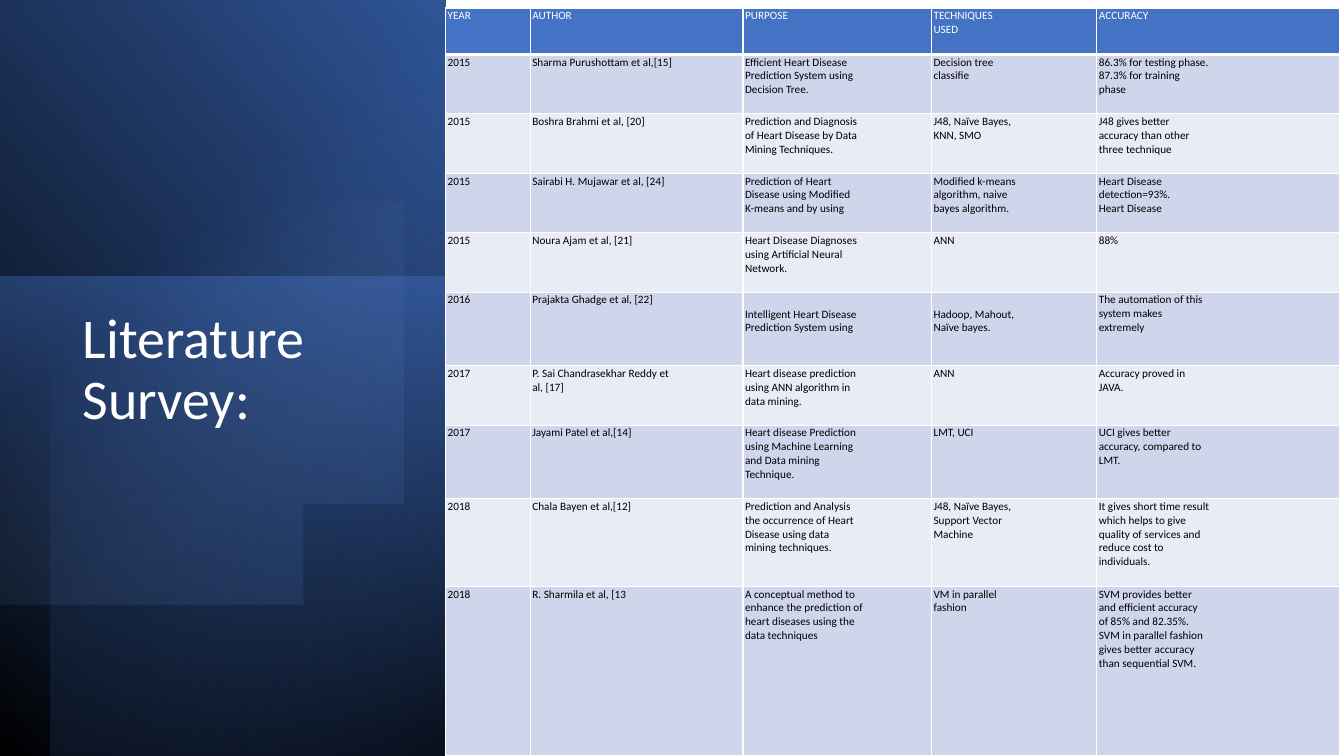
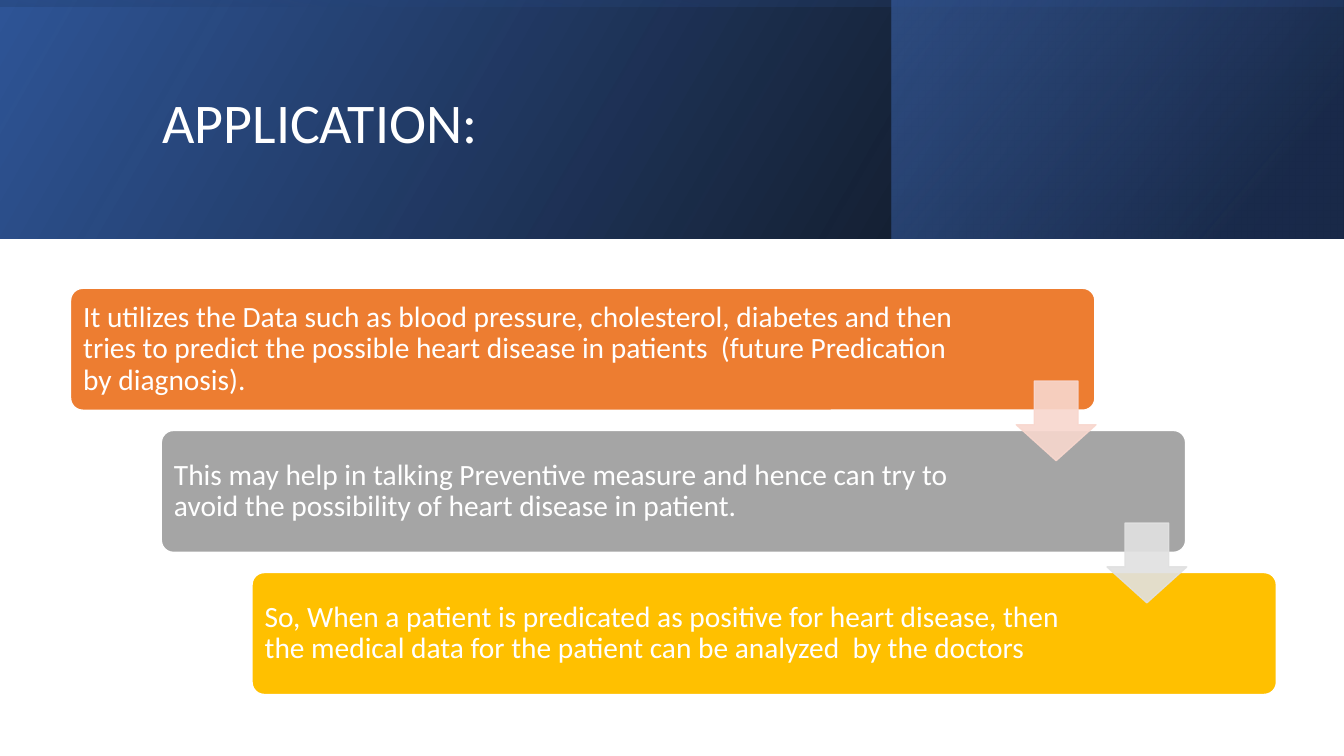
"""Build a literature survey table slide and an application steps slide."""
from dataclasses import dataclass
from math import acos, cos, sin

from lxml import etree
from pptx import Presentation
from pptx.dml.color import RGBColor
from pptx.enum.shapes import MSO_SHAPE
from pptx.enum.text import MSO_ANCHOR, MSO_AUTO_SIZE, PP_ALIGN
from pptx.oxml.ns import qn
from pptx.util import Inches, Pt

RECTANGLE = MSO_SHAPE.RECTANGLE
ROUNDED = MSO_SHAPE.ROUNDED_RECTANGLE
DOWN_ARROW = MSO_SHAPE.DOWN_ARROW
TOP, MIDDLE = MSO_ANCHOR.TOP, MSO_ANCHOR.MIDDLE
LEFT = PP_ALIGN.LEFT
NO_AUTOFIT = MSO_AUTO_SIZE.NONE

FONT = "Calibri"
COLORS = {
    "white": "FFFFFF",
    "black": "000000",
    "blue": "4472C4",
    "deep": "2F5597",
    "navy": "203864",
    "sky": "8FAADC",
    "odd_row": "CFD5EA",
    "even_row": "E9EBF5",
    "orange": "ED7D31",
    "gray": "A5A5A5",
    "gold": "FFC000",
    "pale_orange": "F8D7CE",
    "pale_gray": "E1E1E1",
}


@dataclass(frozen=True)
class Stop:
    position: int
    color: str
    opacity: int = 100


@dataclass(frozen=True)
class Band:
    box: tuple[float, float, float, float]
    stops: tuple[Stop, ...]
    angle: int
    rotation: int = 0
    flipped: bool = True


@dataclass(frozen=True)
class Step:
    text: str
    color: str
    right_inset: float
    arrow_color: str = ""


SURVEY_BANDS = (
    Band((-1.55, 1.55, 7.52, 4.42), (Stop(0, "black"), Stop(100, "deep")), 310, 90),
    Band((-0.17, 2.91, 4.76, 4.42), (Stop(0, "blue", 50), Stop(100, "navy", 0)), 190, 270, False),
    Band((-1.29, 1.79, 7.5, 3.92), (Stop(0, "black", 59), Stop(69, "blue", 0)), 220, 270),
)
APPLICATION_BANDS = (
    Band((0, 0, 13.33, 2.37), (Stop(0, "black", 96), Stop(100, "deep")), 330),
    Band((8.84, 0, 4.48, 2.37), (Stop(19, "navy", 68), Stop(100, "blue", 48)), 320),
    Band((5.48, -5.48, 2.37, 13.33), (Stop(23, "deep", 16), Stop(99, "black", 45)), 350, 270),
)
CIRCLE_STOPS = (Stop(39, "sky", 0), Stop(100, "deep", 26))

COLUMN_WIDTHS = (0.84, 2.11, 1.87, 1.64, 2.41)
ROW_HEIGHTS = (0.46, 0.59, 0.59, 0.59, 0.59, 0.73, 0.59, 0.73, 0.87, 1.68)
LOWERED_CELLS = {(5, 2), (5, 3)}
SURVEY = (
    ("YEAR", "AUTHOR", "PURPOSE", "TECHNIQUES\nUSED", "ACCURACY"),
    ("2015", "Sharma Purushottam et al,[15]",
     "Efficient Heart Disease\nPrediction System using\nDecision Tree.",
     "Decision tree\nclassifie",
     "86.3% for testing phase.\n87.3% for training\nphase"),
    ("2015", "Boshra Brahmi et al, [20]",
     "Prediction and Diagnosis\nof Heart Disease by Data\nMining Techniques.",
     "J48, Naïve Bayes,\nKNN, SMO",
     "J48 gives better\naccuracy than other\nthree technique"),
    ("2015", "Sairabi H. Mujawar et al, [24]",
     "Prediction of Heart\nDisease using Modified\nK-means and by using",
     "Modified k-means\nalgorithm, naive\nbayes algorithm.",
     "Heart Disease\ndetection=93%.\nHeart Disease"),
    ("2015", "Noura Ajam et al, [21]",
     "Heart Disease Diagnoses\nusing Artificial Neural\nNetwork.",
     "ANN", "88%"),
    ("2016", "Prajakta Ghadge et al, [22]",
     "Intelligent Heart Disease\nPrediction System using",
     "Hadoop, Mahout,\nNaïve bayes.",
     "The automation of this\nsystem makes\nextremely"),
    ("2017", "P. Sai Chandrasekhar Reddy et\nal, [17]",
     "Heart disease prediction\nusing ANN algorithm in\ndata mining.",
     "ANN", "Accuracy proved in\nJAVA."),
    ("2017", "Jayami Patel et al,[14]",
     "Heart disease Prediction\nusing Machine Learning\nand Data mining\nTechnique.",
     "LMT, UCI",
     "UCI gives better\naccuracy, compared to\nLMT."),
    ("2018", "Chala Bayen et al,[12]",
     "Prediction and Analysis\nthe occurrence of Heart\nDisease using data\nmining techniques.",
     "J48, Naïve Bayes,\nSupport Vector\nMachine",
     "It gives short time result\nwhich helps to give\nquality of services and\n"
     "reduce cost to\nindividuals."),
    ("2018", "R. Sharmila et al, [13",
     "A conceptual method to\nenhance the prediction of\nheart diseases using the\ndata techniques",
     "VM in parallel\nfashion",
     "SVM provides better\nand efficient accuracy\nof 85% and 82.35%.\n"
     "SVM in parallel fashion\ngives better accuracy\nthan sequential SVM."),
)

STEPS = (
    Step("It utilizes the Data such as blood pressure, cholesterol, diabetes and then tries "
         "to predict the possible heart disease in patients  (future Predication by diagnosis).",
         "orange", 1.33, "pale_orange"),
    Step("This may help in talking Preventive measure and hence can try to avoid the "
         "possibility of heart disease in patient.",
         "gray", 1.77, "pale_gray"),
    Step("So, When a patient is predicated as positive for heart disease, then the medical "
         "data for the patient can be analyzed  by the doctors",
         "gold", 1.77),
)
STEP_SHIFT, STEP_PITCH = 0.9, 1.41


def rgb(name: str) -> RGBColor:
    return RGBColor.from_string(COLORS[name])


def write_text(frame, text: str, *, size: float, color: str = "white",
               spacing: float = 1.0) -> None:
    frame.text = text
    frame.word_wrap = True
    for paragraph in frame.paragraphs:
        paragraph.alignment = LEFT
        paragraph.line_spacing = spacing
        font = paragraph.font
        font.name, font.size, font.bold = FONT, Pt(size), False
        font.color.rgb = rgb(color)


def set_opacity(color_element, percent: int) -> None:
    etree.SubElement(color_element, qn("a:alpha"), val=str(percent * 1000))


def fill_gradient(shape, stops: tuple[Stop, ...], angle: int) -> None:
    shape.shadow.inherit = False
    shape.line.fill.background()
    shape.fill.gradient()
    shape.fill.gradient_angle = 360 - angle
    stop_list = shape._element.spPr.find(f".//{qn('a:gsLst')}")
    for old_stop in list(stop_list):
        stop_list.remove(old_stop)
    for stop in stops:
        entry = etree.SubElement(stop_list, qn("a:gs"), pos=str(stop.position * 1000))
        color = etree.SubElement(entry, qn("a:srgbClr"), val=COLORS[stop.color])
        set_opacity(color, stop.opacity)


def add_band(slide, band: Band) -> None:
    shape = slide.shapes.add_shape(RECTANGLE, *map(Inches, band.box))
    shape.rotation = band.rotation
    if band.flipped:
        shape._element.spPr.get_or_add_xfrm().set("flipH", "1")
    fill_gradient(shape, band.stops, band.angle)


def add_cut_circle(slide, center_x: float, center_y: float, radius: float) -> None:
    limit, count = acos(-center_x / radius), 120
    angles = [limit * (2 * i / count - 1) for i in range(count + 1)]
    points = [(center_x + radius * cos(a), center_y + radius * sin(a)) for a in angles]
    builder = slide.shapes.build_freeform(*points[0], scale=Inches(1))
    builder.add_line_segments(points[1:], close=True)
    fill_gradient(builder.convert_to_shape(), CIRCLE_STOPS, 52)


def add_titled_slide(deck, bands: tuple[Band, ...], title_text: str,
                     box: tuple[float, float, float, float], anchor):
    slide = deck.slides.add_slide(deck.slide_layouts[5])
    for band in bands:
        add_band(slide, band)
    title = slide.shapes.title
    title.left, title.top, title.width, title.height = map(Inches, box)
    frame = title.text_frame
    write_text(frame, title_text, size=40, spacing=0.9)
    frame.auto_size, frame.vertical_anchor = NO_AUTOFIT, anchor
    return slide


def raise_title(slide) -> None:
    slide.shapes._spTree.append(slide.shapes.title._element)


def set_borders(cell, bottom_width: float) -> None:
    properties = cell._tc.get_or_add_tcPr()
    widths = {"a:lnL": 1, "a:lnR": 1, "a:lnT": 1, "a:lnB": bottom_width}
    for index, (tag, width) in enumerate(widths.items()):
        line = etree.Element(qn(tag), w=str(Pt(width)))
        fill = etree.SubElement(line, qn("a:solidFill"))
        etree.SubElement(fill, qn("a:srgbClr"), val=COLORS["white"])
        properties.insert(index, line)


def add_survey_table(slide) -> None:
    frame = slide.shapes.add_table(
        len(SURVEY), len(COLUMN_WIDTHS), Inches(4.42), Inches(0.08),
        Inches(sum(COLUMN_WIDTHS)), Inches(sum(ROW_HEIGHTS)))
    table = frame.table
    for column, width in zip(table.columns, COLUMN_WIDTHS):
        column.width = Inches(width)
    for r, (entries, height) in enumerate(zip(SURVEY, ROW_HEIGHTS)):
        table.rows[r].height = Inches(height)
        header = r == 0
        row_color = "blue" if header else "odd_row" if r % 2 else "even_row"
        for c, entry in enumerate(entries):
            cell = table.cell(r, c)
            cell.margin_left = cell.margin_right = Inches(0.02)
            cell.margin_top = Inches(0.15 if (r, c) in LOWERED_CELLS else 0.01)
            cell.margin_bottom = Inches(0.01)
            write_text(cell.text_frame, entry, size=8, color="white" if header else "black")
            cell.fill.solid()
            cell.fill.fore_color.rgb = rgb(row_color)
            set_borders(cell, 3 if header else 1)


def add_solid(slide, kind, box: tuple[float, float, float, float], fill: str, line: str,
              adjustments: tuple[float, ...]):
    shape = slide.shapes.add_shape(kind, *map(Inches, box))
    shape.shadow.inherit = False
    shape.fill.solid()
    shape.fill.fore_color.rgb = rgb(fill)
    shape.line.color.rgb = rgb(line)
    shape.line.width = Pt(1)
    for index, value in enumerate(adjustments):
        shape.adjustments[index] = value
    return shape


def add_step(slide, index: int, step: Step) -> None:
    box = (0.7 + index * STEP_SHIFT, 2.86 + index * STEP_PITCH, 10.16, 1.21)
    card = add_solid(slide, ROUNDED, box, step.color, "white", (0.1,))
    frame = card.text_frame
    write_text(frame, step.text, size=21, spacing=0.9)
    frame.vertical_anchor = MIDDLE
    frame.margin_left = frame.margin_top = frame.margin_bottom = Inches(0.09)
    frame.margin_right = Inches(step.right_inset)


def add_step_arrow(slide, index: int, color: str) -> None:
    box = (10.08 + index * STEP_SHIFT, 3.78 + index * STEP_PITCH, 0.79, 0.79)
    arrow = add_solid(slide, DOWN_ARROW, box, color, color, (0.55, 0.45))
    for color_element in arrow._element.spPr.iter(qn("a:srgbClr")):
        set_opacity(color_element, 90)


def build_survey(deck) -> None:
    slide = add_titled_slide(deck, SURVEY_BANDS, "Literature Survey:",
                             (0.72, 3.03, 3.15, 3.36), TOP)
    add_cut_circle(slide, 1.43, 3.47, 2.63)
    raise_title(slide)
    add_survey_table(slide)


def build_application(deck) -> None:
    slide = add_titled_slide(deck, APPLICATION_BANDS, "APPLICATION:",
                             (1.51, 0.38, 10.63, 1.72), MIDDLE)
    raise_title(slide)
    for index, step in enumerate(STEPS):
        add_step(slide, index, step)
    for index, step in enumerate(STEPS):
        if step.arrow_color:
            add_step_arrow(slide, index, step.arrow_color)


def main() -> None:
    deck = Presentation()
    deck.slide_width, deck.slide_height = Inches(13.33), Inches(7.5)
    build_survey(deck)
    build_application(deck)
    deck.save("out.pptx")


if __name__ == "__main__":
    main()
